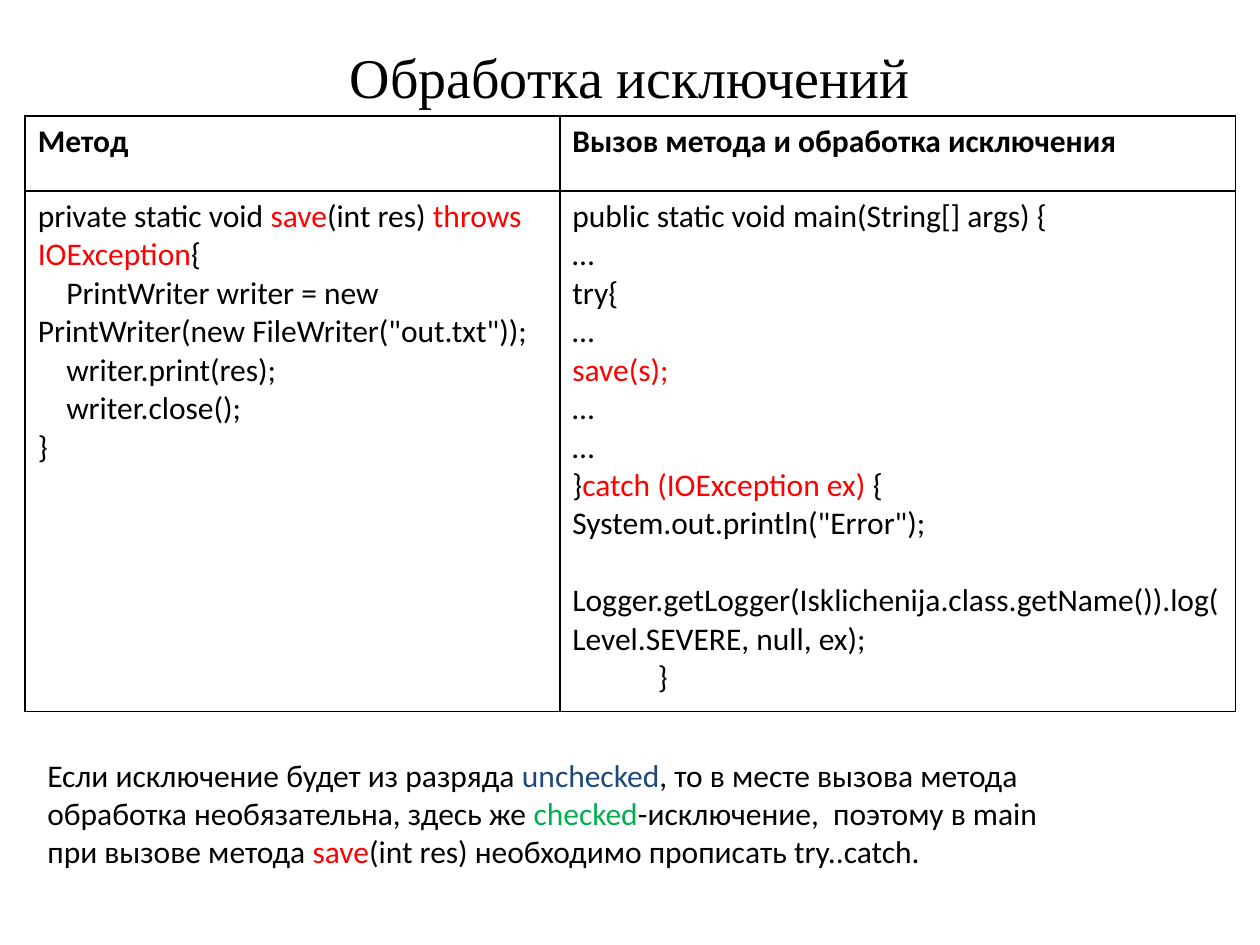
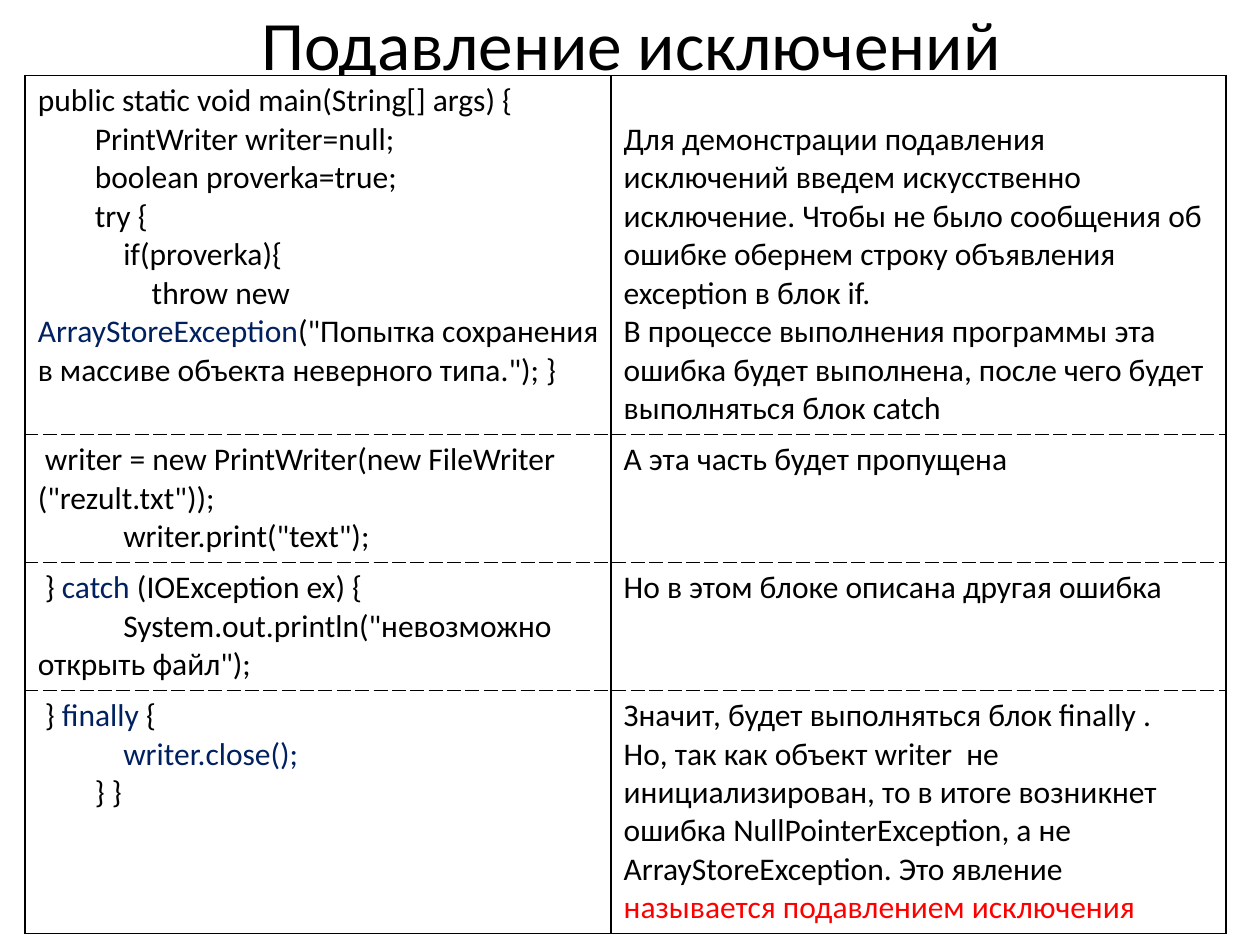
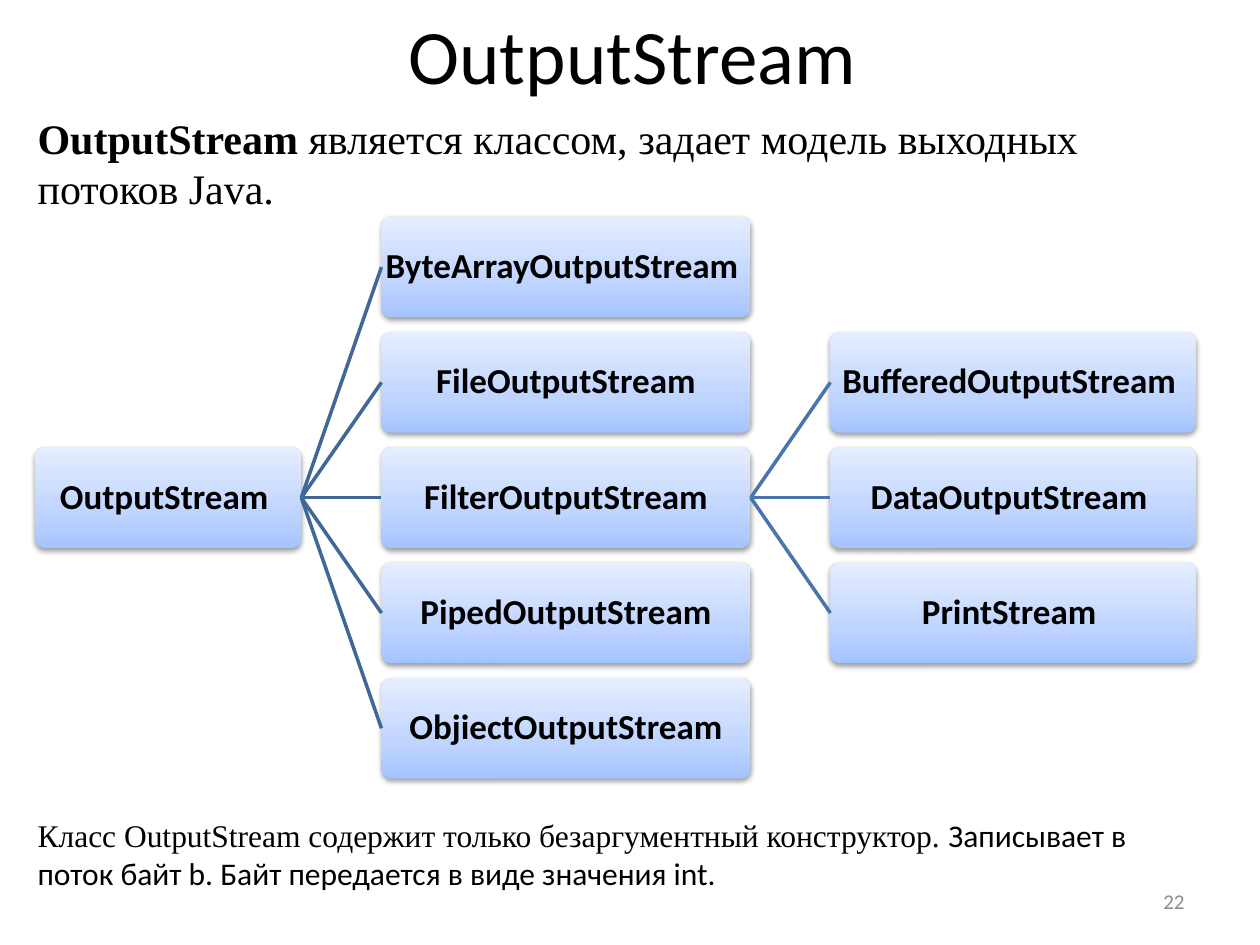
from copy import deepcopy

from lxml.etree import SubElement
from pptx import Presentation
from pptx.dml.color import RGBColor
from pptx.enum.shapes import MSO_CONNECTOR, MSO_SHAPE
from pptx.enum.text import MSO_ANCHOR, PP_ALIGN
from pptx.oxml import parse_xml
from pptx.oxml.ns import nsdecls, qn
from pptx.util import Pt

COLORS = {
    "black": "000000", "white": "FFFFFF", "red": "FF0000", "green": "00B050",
    "blue": "1F497D", "navy": "002060", "grey": "8C8C8C",
    "root link": "3F6797", "filter link": "4875AC",
    "box bottom": "A4C4FF", "box middle": "BFD4FF", "box top": "E6EEFF",
}
SANS, SERIF = "Calibri", "Times New Roman"
BODY_SIZE = 18
LINE = 22          # height of one body line
SPACE = 4.07       # width of one space of code indent
PAD = 3.6          # top padding of a table cell

# A paragraph is a list of runs: a string, or (string, format).
# A leading number is the code indent in spaces.
RED, NAVY = {"color": "red"}, {"color": "navy"}
BOLD = {"bold": True}

HANDLING = {
    "title": "Обработка исключений",
    "at": (14.4, 66.2), "columns": (305.5, 386), "rows": (43, 297.5),
    "cells": [
        [[[("Метод", BOLD)]], [[("Вызов метода и обработка исключения", BOLD)]]],
        [
            [
                ["private static void ", ("save", RED), "(int res) ",
                 ("throws IOException", RED), "{"],
                [4, 'PrintWriter writer = new PrintWriter(new FileWriter("out.txt"));'],
                [4, "writer.print(res);"],
                [4, "writer.close();"],
                ["}"],
            ],
            [
                ["public static void main(String[] args) {"],
                ["…"],
                ["try{"],
                ["…"],
                [("save(s);", RED)],
                ["…"],
                ["…"],
                ["}", ("catch (IOException ex) ", RED), "{"],
                ['System.out.println("Error");'],
                ["Logger.getLogger(Isklichenija.class.getName()).log(Level.SEVERE, null, ex);"],
                [12, "}"],
            ],
        ],
    ],
}
LOGGER_LINE = 9
HANDLING_NOTE = [[
    "Если исключение будет из разряда ", ("unchecked", {"color": "blue"}),
    ", то в месте вызова метода обработка необязательна, здесь же ",
    ("checked", {"color": "green"}),
    "-исключение,  поэтому в main при вызове метода ", ("save", RED),
    "(int res) необходимо прописать try..catch.",
]]

SUPPRESSION = {
    "title": "Подавление исключений",
    "at": (14.4, 43.2), "columns": (334.8, 351.4), "rows": (205, 73, 73, 139),
    "cells": [
        [
            [
                ["public static void main(String[] args) {"],
                [8, "PrintWriter writer=null;"],
                [8, "boolean proverka=true;"],
                [8, "try {"],
                [12, "if(proverka){"],
                [16, "throw new ", ("ArrayStoreException", NAVY),
                 '("Попытка сохранения в массиве объекта неверного типа."); }'],
            ],
            [
                ["Для демонстрации подавления исключений введем искусственно исключение. "
                 "Чтобы не было сообщения об ошибке обернем строку объявления exception "
                 "в блок if."],
                ["В процессе выполнения программы эта ошибка будет выполнена, после чего "
                 "будет выполняться блок catch"],
            ],
        ],
        [
            [[1, 'writer = new PrintWriter(new FileWriter ("rezult.txt"));'],
             [12, 'writer.print("text");']],
            [["А эта часть будет пропущена"]],
        ],
        [
            [[1, "} ", ("catch", NAVY), " (IOException ex) {"],
             [12, 'System.out.println("невозможно открыть файл");']],
            [["Но в этом блоке описана другая ошибка"]],
        ],
        [
            [[1, "} ", ("finally", NAVY), " {"],
             [12, ("writer.close();", NAVY)],
             [8, "} }"]],
            [
                ["Значит, будет выполняться блок finally ."],
                ["Но, так как объект writer  не инициализирован, то в итоге возникнет "
                 "ошибка NullPointerException, а не ArrayStoreException. Это явление ",
                 ("называется подавлением исключения", RED)],
            ],
        ],
    ],
}

STREAM_TITLE = "OutputStream "
STREAM_INTRO = [[("OutputStream", BOLD),
                 " является классом, задает модель выходных потоков Java."]]
STREAM_NOTE = [[
    ("Класс OutputStream содержит только безаргументный конструктор. ", {"font": SERIF}),
    "Записывает в поток байт b. Байт передается в виде значения int.",
]]
PAGE_NUMBER = "22"

# Tree levels: left, width, first row, class names
TREE_LEVELS = [
    (20.2, 152, 2, ["OutputStream "]),
    (218, 211, 0, ["ByteArrayOutputStream ", "FileOutputStream", "FilterOutputStream",
                   "PipedOutputStream", "ObjiectOutputStream"]),
    (474.5, 209, 1, ["BufferedOutputStream ", "DataOutputStream ", "PrintStream "]),
]
TREE_PARENTS = [("OutputStream ", 1, "root link"), ("FilterOutputStream", 2, "filter link")]
TREE_TOP, TREE_PITCH, BOX_HEIGHT = 123.8, 65.9, 57.6


def rgb(name):
    return RGBColor.from_string(COLORS[name])


def write(frame, paragraphs, size=BODY_SIZE, font=SANS, color="black", bold=False,
          align=PP_ALIGN.LEFT, anchor=MSO_ANCHOR.TOP, spacing=None):
    """Fill a text frame; a run's own format overrides the keywords."""
    frame.word_wrap = True
    frame.vertical_anchor = anchor
    for number, runs in enumerate(paragraphs):
        paragraph = frame.add_paragraph() if number else frame.paragraphs[0]
        paragraph.alignment = align
        if spacing:
            paragraph.line_spacing = spacing
        if isinstance(runs[0], int):
            properties = paragraph._p.get_or_add_pPr()
            properties.set("marL", "0")
            properties.set("indent", str(Pt(runs[0] * SPACE)))
            runs = runs[1:]
        for part in runs:
            words, own = (part, {}) if isinstance(part, str) else part
            look = {"font": font, "color": color, "bold": bold, **own}
            run = paragraph.add_run()
            run.text = words
            run.font.size = Pt(size)
            run.font.name = look["font"]
            run.font.bold = look["bold"]
            run.font.color.rgb = rgb(look["color"])


def place(shape, left, top, width, height):
    shape.left, shape.top, shape.width, shape.height = map(Pt, (left, top, width, height))


def add_titled_slide(deck, title, at, **look):
    slide = deck.slides.add_slide(deck.slide_layouts[5])
    place(slide.shapes.title, *at)
    write(slide.shapes.title.text_frame, [[title]], align=PP_ALIGN.CENTER,
          anchor=MSO_ANCHOR.MIDDLE, **look)
    return slide


def add_note(slide, paragraphs, at, **look):
    write(slide.shapes.add_textbox(*map(Pt, at)).text_frame, paragraphs, **look)


def set_borders(cell, dashed_sides):
    properties = cell._tc.get_or_add_tcPr()
    for position, side in enumerate("LRTB"):
        dash = "dash" if side in dashed_sides else "solid"
        properties.insert(position, parse_xml(
            f'<a:ln{side} {nsdecls("a")} w="{Pt(1)}"><a:solidFill>'
            f'<a:srgbClr val="{COLORS["black"]}"/></a:solidFill>'
            f'<a:prstDash val="{dash}"/></a:ln{side}>'))


def add_code_table(slide, content, dashed=False):
    widths, heights, cells = content["columns"], content["rows"], content["cells"]
    table = slide.shapes.add_table(
        len(heights), len(widths), *map(Pt, content["at"]),
        Pt(sum(widths)), Pt(sum(heights))).table
    for column, width in zip(table.columns, widths):
        column.width = Pt(width)
    last = len(heights) - 1
    for r, height in enumerate(heights):
        table.rows[r].height = Pt(height)
        sides = ("T" if r > 0 else "") + ("B" if r < last else "")
        for c, paragraphs in enumerate(cells[r]):
            cell = table.cell(r, c)
            cell.fill.solid()
            cell.fill.fore_color.rgb = rgb("white")
            set_borders(cell, sides if dashed else "")
            write(cell.text_frame, paragraphs)
    return table


def add_class_box(slide, name, at):
    box = slide.shapes.add_shape(MSO_SHAPE.ROUNDED_RECTANGLE, *map(Pt, at))
    box.adjustments[0] = 0.1
    box.line.fill.background()
    box.fill.gradient()
    box.fill.gradient_angle = 90
    stops = box._element.spPr.find(".//" + qn("a:gsLst"))
    stops.append(deepcopy(stops[0]))
    shades = [(0, "box bottom"), (0.35, "box middle"), (1, "box top")]
    for stop, (position, color) in zip(box.fill.gradient_stops, shades):
        stop.position = position
        stop.color.rgb = rgb(color)
    box.shadow.inherit = False
    box._element.spPr.find(qn("a:effectLst")).append(parse_xml(
        f'<a:outerShdw {nsdecls("a")} blurRad="{Pt(3.1)}" dist="{Pt(1.6)}" dir="5400000" '
        f'rotWithShape="0"><a:srgbClr val="{COLORS["black"]}"><a:alpha val="38000"/>'
        '</a:srgbClr></a:outerShdw>'))
    frame = box.text_frame
    frame.margin_left = frame.margin_right = frame.margin_top = frame.margin_bottom = Pt(0.7)
    write(frame, [[name]], size=20, bold=True, align=PP_ALIGN.CENTER,
          anchor=MSO_ANCHOR.MIDDLE, spacing=0.9)
    return box


def add_link(slide, parent, child, color):
    link = slide.shapes.add_connector(MSO_CONNECTOR.STRAIGHT, 0, 0, 0, 0)
    link.begin_connect(parent, 3)
    link.end_connect(child, 1)
    link.line.color.rgb = rgb(color)
    link.line.width = Pt(2)
    SubElement(link._element.spPr, qn("a:effectLst"))


def add_class_tree(slide):
    boxes = {}
    for left, width, first_row, names in TREE_LEVELS:
        for row, name in enumerate(names, first_row):
            top = TREE_TOP + row * TREE_PITCH
            boxes[name] = add_class_box(slide, name, (left, top, width, BOX_HEIGHT))
    for parent, level, color in TREE_PARENTS:
        for child in TREE_LEVELS[level][3]:
            add_link(slide, boxes[parent], boxes[child], color)


def main():
    deck = Presentation()
    deck.slide_width, deck.slide_height = Pt(720), Pt(540)

    handling = add_titled_slide(deck, HANDLING["title"], (36, 21.6, 648, 44),
                                size=32, font=SERIF)
    table = add_code_table(handling, HANDLING)
    table.cell(1, 1).text_frame.paragraphs[LOGGER_LINE].space_before = Pt(LINE)
    add_note(handling, HANDLING_NOTE, (20, 428.4, 584, 72.7))

    suppression = add_titled_slide(deck, SUPPRESSION["title"], (36.7, 0, 648, 49), size=39.6)
    table = add_code_table(suppression, SUPPRESSION, dashed=True)
    table.cell(0, 1).margin_top = Pt(PAD + LINE)

    stream = add_titled_slide(deck, STREAM_TITLE, (42.5, 0, 648, 61.2), size=44)
    add_class_tree(stream)
    add_note(stream, STREAM_INTRO, (14.4, 60.5, 657.4, 65.5), size=24, font=SERIF)
    add_note(stream, STREAM_NOTE, (14.4, 463, 641, 51))
    add_note(stream, [[PAGE_NUMBER]], (516, 500.5, 168, 28.8), size=12, color="grey",
             align=PP_ALIGN.RIGHT, anchor=MSO_ANCHOR.MIDDLE)

    deck.save("out.pptx")


if __name__ == "__main__":
    main()
